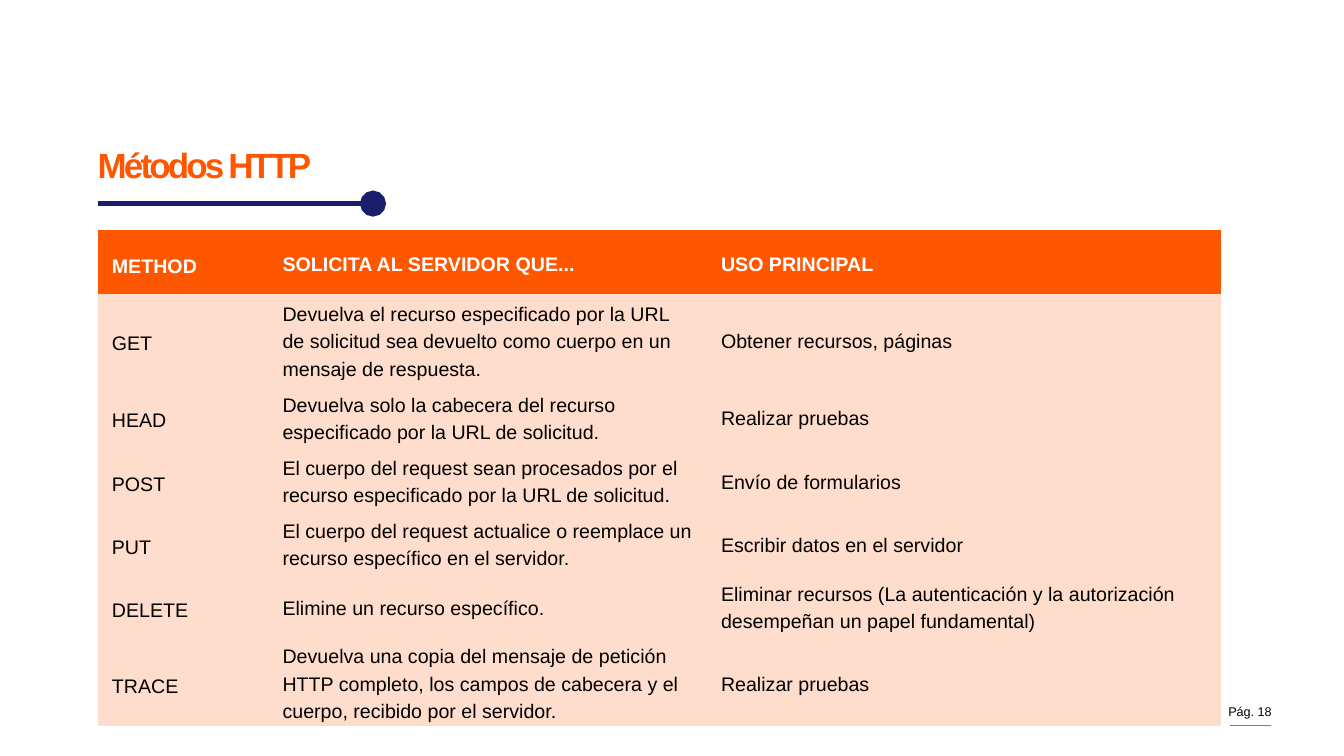
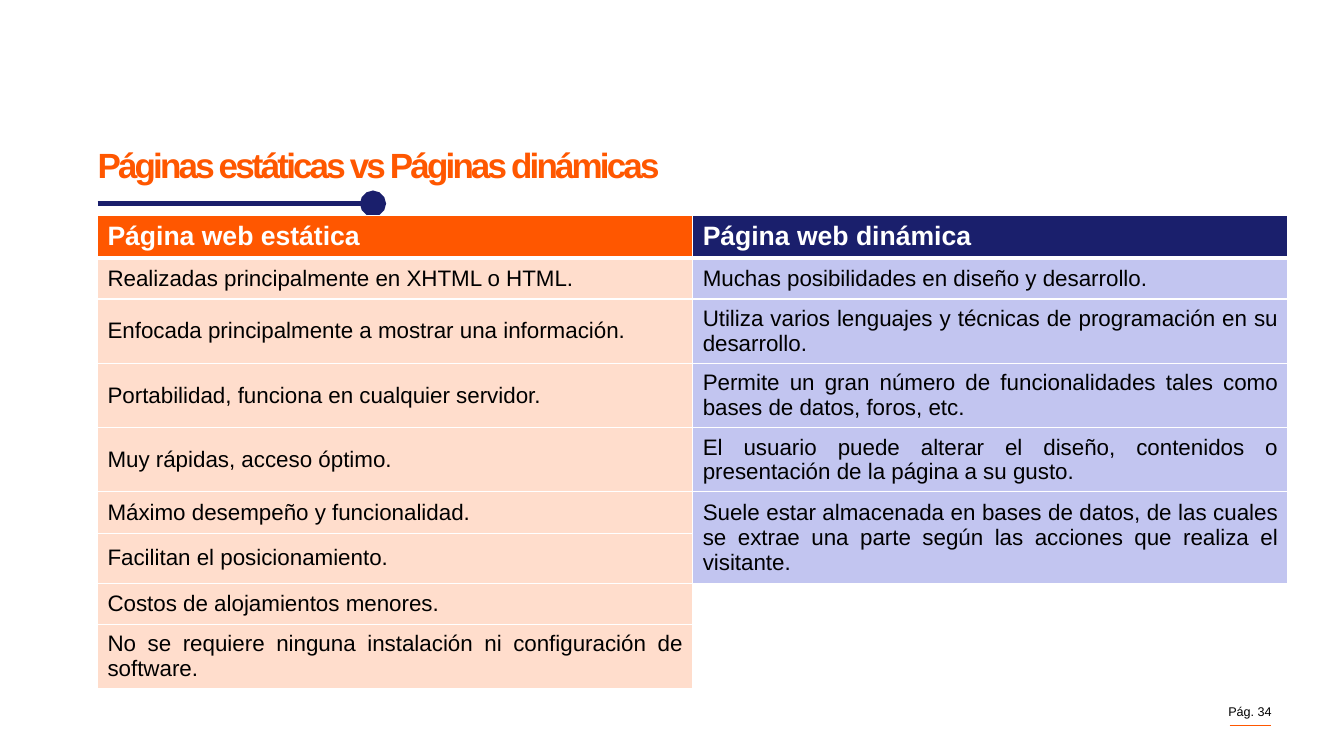
from lxml.etree import SubElement
from pptx import Presentation
from pptx.dml.color import RGBColor
from pptx.enum.shapes import MSO_CONNECTOR
from pptx.enum.text import MSO_ANCHOR, MSO_AUTO_SIZE, PP_ALIGN
from pptx.oxml import parse_xml
from pptx.oxml.ns import nsdecls, qn
from pptx.util import Cm, Pt

COLORS = {
    "orange": "FF5700", "navy": "1A1F6C", "peach": "FFDDCC",
    "lilac": "C2C5F0", "white": "FFFFFF", "black": "000000",
}
FONT = "Arial"
NO_STYLE = "{2D5ABB26-0587-4C30-8999-92F81FD0307C}"
LEFT = 2.46


def write(tf, text, size=14, color="black", bold=False, align=PP_ALIGN.LEFT,
          leading=None, spacing=None):
    p = tf.paragraphs[0]
    p.alignment = align
    if leading:
        p.line_spacing = Pt(leading)
    r = p.add_run()
    r.text = text
    r.font.name, r.font.size, r.font.bold = FONT, Pt(size), bold
    r.font.color.rgb = RGBColor.from_string(COLORS[color])
    if spacing:
        r.font._element.set("spc", str(spacing))


def rule(s, x1, x2, y, color, width, dot=False):
    c = s.shapes.add_connector(MSO_CONNECTOR.STRAIGHT, Cm(x1), Cm(y), Cm(x2), Cm(y))
    c.line.color.rgb = RGBColor.from_string(COLORS[color])
    c.line.width = Pt(width)
    if dot:
        SubElement(c.line._get_or_add_ln(), qn("a:tailEnd"), type="oval", w="lg", len="lg")
    SubElement(c._element.spPr, qn("a:effectLst"))


METHODS = [
    ("METHOD", "SOLICITA AL SERVIDOR QUE...", "USO PRINCIPAL"),
    ("GET", "Devuelva el recurso especificado por la URL de solicitud sea devuelto "
            "como cuerpo en un mensaje de respuesta.", "Obtener recursos, páginas"),
    ("HEAD", "Devuelva solo la cabecera del recurso especificado por la URL de solicitud.",
     "Realizar pruebas"),
    ("POST", "El cuerpo del request sean procesados por el recurso especificado por "
             "la URL de solicitud.", "Envío de formularios"),
    ("PUT", "El cuerpo del request actualice o reemplace un recurso específico en el "
            "servidor.", "Escribir datos en el servidor"),
    ("DELETE", "Elimine un recurso específico.",
     "Eliminar recursos (La autenticación y la autorización desempeñan un papel fundamental)"),
    ("TRACE", "Devuelva una copia del mensaje de petición HTTP completo, los campos de "
              "cabecera y el cuerpo, recibido por el servidor.", "Realizar pruebas"),
]
PAGES = [
    ("Página web estática", "Página web dinámica"),
    ("Realizadas principalmente en XHTML o HTML.",
     "Muchas posibilidades en diseño y desarrollo."),
    ("Enfocada principalmente a mostrar una información.",
     "Utiliza varios lenguajes y técnicas de programación en su desarrollo."),
    ("Portabilidad, funciona en cualquier servidor.",
     "Permite un gran número de funcionalidades tales como bases de datos, foros, etc."),
    ("Muy rápidas, acceso óptimo.",
     "El usuario puede alterar el diseño, contenidos o presentación de la página a su gusto."),
    ("Máximo desempeño y funcionalidad.",
     "Suele estar almacenada en bases de datos, de las cuales se extrae una parte según "
     "las acciones que realiza el visitante."),
    ("Facilitan el posicionamiento.", ""),
    ("Costos de alojamientos menores.", ""),
    ("No se requiere ninguna instalación ni configuración de software.", ""),
]
SLIDES = [
    dict(title="Métodos HTTP", page=18, rows=METHODS, top=5.8,
         widths=[4.3, 11.05, 12.97], heights=[1.6, 2.3, 1.59, 1.59, 1.59, 1.59, 2.17],
         heads=["orange"] * 3, fills=["peach"] * 3, sizes=(14, 14),
         leading=[22.4, 19.6, 19.6], align=PP_ALIGN.LEFT,
         margins=(0.36, 0.08), borders=False, merge=None),
    dict(title="Páginas estáticas vs Páginas dinámicas", page=34, rows=PAGES, top=5.43,
         widths=[15, 15], heights=[1.04, 1.04, 1.62, 1.62, 1.62, 1.04, 1.26, 1.04, 1.62],
         heads=["orange", "navy"], fills=["peach", "lilac"], sizes=(19, 16),
         leading=[None, None], align=PP_ALIGN.JUSTIFY,
         margins=(0.25, 0.13), borders=True, merge=((5, 1), (6, 1))),
]

prs = Presentation()
prs.slide_width, prs.slide_height = Cm(33.87), Cm(19.05)

for d in SLIDES:
    s = prs.slides.add_slide(prs.slide_layouts[5])

    # Title and its underline
    sp = s.shapes.title
    sp.left, sp.top, sp.width, sp.height = Cm(LEFT), Cm(3.02), Cm(18.5), Cm(1.45)
    tf = sp.text_frame
    tf.margin_left = tf.margin_right = tf.margin_top = tf.margin_bottom = 0
    tf.vertical_anchor = MSO_ANCHOR.TOP
    tf.auto_size = MSO_AUTO_SIZE.NONE
    write(tf, d["title"], size=25, color="orange", bold=True, leading=46.7, spacing=-200)
    rule(s, LEFT, 9.4, 5.13, "navy", 3.75, dot=True)

    # Page number
    rule(s, 30.99, 32.03, 18.29, "orange", 0.5)
    tf = s.shapes.add_textbox(Cm(30.1), Cm(17.73), Cm(1.95), Cm(0.38)).text_frame
    tf.word_wrap = True
    tf.margin_left = tf.margin_right = tf.margin_top = tf.margin_bottom = 0
    write(tf, f"Pág. {d['page']}", size=9, align=PP_ALIGN.RIGHT)

    # Table
    rows, widths, heights = d["rows"], d["widths"], d["heights"]
    frame = s.shapes.add_table(len(rows), len(widths), Cm(LEFT), Cm(d["top"]),
                               Cm(sum(widths)), Cm(sum(heights)))
    frame._element.xpath(".//a:tableStyleId")[0].text = NO_STYLE
    table = frame.table
    table.horz_banding = False
    for col, width in zip(table.columns, widths):
        col.width = Cm(width)
    for row, height in zip(table.rows, heights):
        row.height = Cm(height)
    if d["merge"]:
        first, last = d["merge"]
        table.cell(*first).merge(table.cell(*last))

    for i, texts in enumerate(rows):
        head = i == 0
        for j, text in enumerate(texts):
            cell = table.cell(i, j)
            cell.vertical_anchor = MSO_ANCHOR.MIDDLE
            cell.margin_left = cell.margin_right = Cm(d["margins"][0])
            cell.margin_top = cell.margin_bottom = Cm(d["margins"][1])
            if d["borders"]:
                for side in "LRTB":
                    thick = (i, side) in ((0, "B"), (1, "T"))
                    cell._tc.get_or_add_tcPr().append(parse_xml(
                        f'<a:ln{side} {nsdecls("a")} w="{Pt(3 if thick else 1)}"><a:solidFill>'
                        f'<a:srgbClr val="{COLORS["white"]}"/></a:solidFill></a:ln{side}>'))
            if not text:
                cell.fill.background()
                continue
            cell.fill.solid()
            fill = d["heads" if head else "fills"][j]
            cell.fill.fore_color.rgb = RGBColor.from_string(COLORS[fill])
            write(cell.text_frame, text, size=d["sizes"][0 if head else 1], bold=head,
                  color="white" if head else "black", align=d["align"],
                  leading=d["leading"][j])

prs.save("out.pptx")
